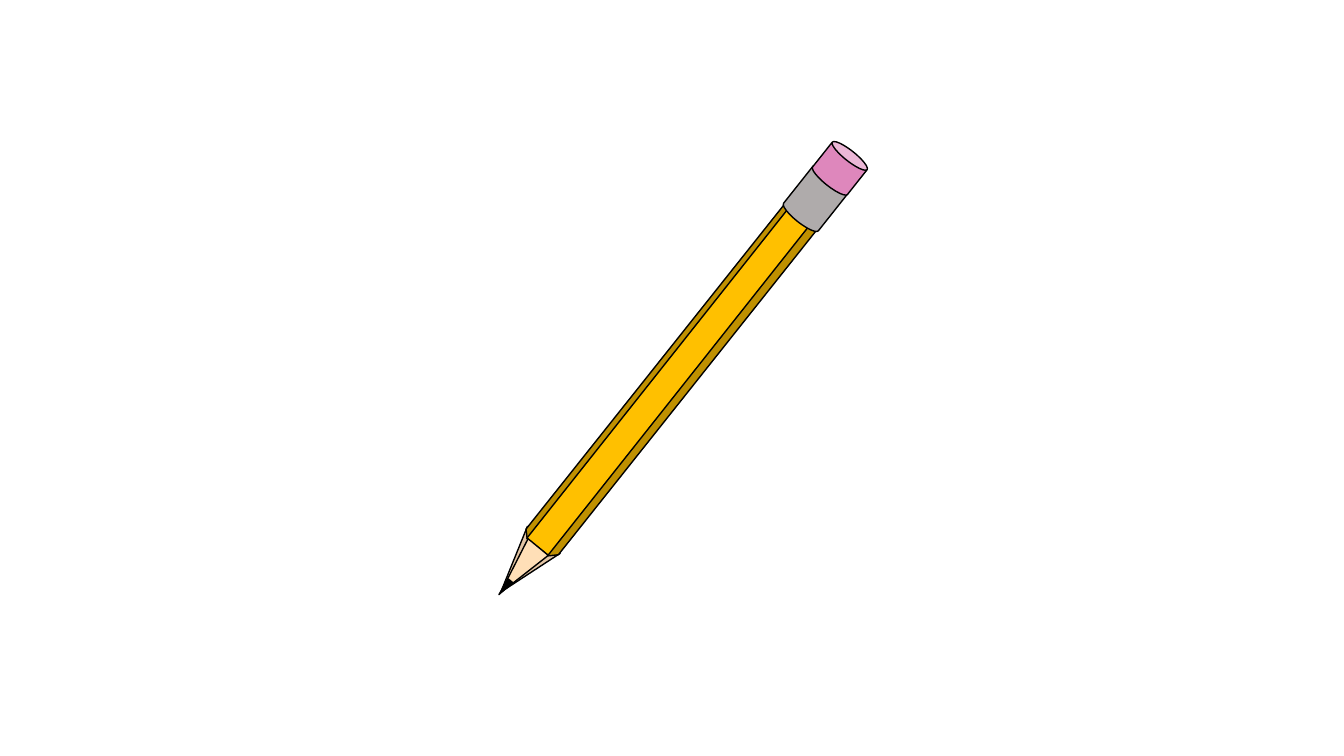
from pptx import Presentation
from pptx.dml.color import RGBColor
from pptx.enum.shapes import MSO_SHAPE
from pptx.util import Inches, Pt

COLORS = {
    "line": "000000",
    "lead": "000000",
    "wood": "FFDFB7",
    "wood_dark": "E3C5A4",
    "paint": "FFC000",
    "paint_dark": "BF9000",
    "metal": "AFABAB",
    "rubber": "DE87BC",
}
TIP_TURN = 219.5
BODY_TURN = 218.5
FACE_TURN = 308.4
CAP_TURN = 38.4

# kind, colour, left, top, width, height, turn; from back to front
PARTS = [
    (MSO_SHAPE.ISOSCELES_TRIANGLE, "wood_dark", 4.97, 5.28, 0.42, 0.67, TIP_TURN),
    (MSO_SHAPE.SNIP_2_SAME_RECTANGLE, "paint_dark", 6.45, 1.65, 0.41, 4.24, BODY_TURN),
    (MSO_SHAPE.RECTANGLE, "paint", 4.48, 3.53, 4.49, 0.27, FACE_TURN),
    (MSO_SHAPE.CAN, "metal", 7.87, 1.68, 0.44, 0.58, CAP_TURN),
    (MSO_SHAPE.CAN, "rubber", 8.11, 1.46, 0.44, 0.42, CAP_TURN),
    (MSO_SHAPE.ISOSCELES_TRIANGLE, "wood", 5.02, 5.36, 0.26, 0.59, TIP_TURN),
    (MSO_SHAPE.ISOSCELES_TRIANGLE, "lead", 4.98, 5.74, 0.05, 0.18, TIP_TURN),
]


def color(name):
    return RGBColor.from_string(COLORS[name])


def add_part(slide, kind, fill, left, top, width, height, turn):
    box = [Inches(size) for size in (left, top, width, height)]
    part = slide.shapes.add_shape(kind, *box)
    part.rotation = turn
    part.shadow.inherit = False
    part.fill.solid()
    part.fill.fore_color.rgb = color(fill)
    part.line.color.rgb = color("line")
    part.line.width = Pt(1)
    return part


def main():
    deck = Presentation()
    deck.slide_width = Inches(13.33)
    deck.slide_height = Inches(7.5)
    slide = deck.slides.add_slide(deck.slide_layouts[6])
    pencil = [add_part(slide, *part) for part in PARTS]
    slide.shapes.add_group_shape(pencil)
    deck.save("out.pptx")


if __name__ == "__main__":
    main()
